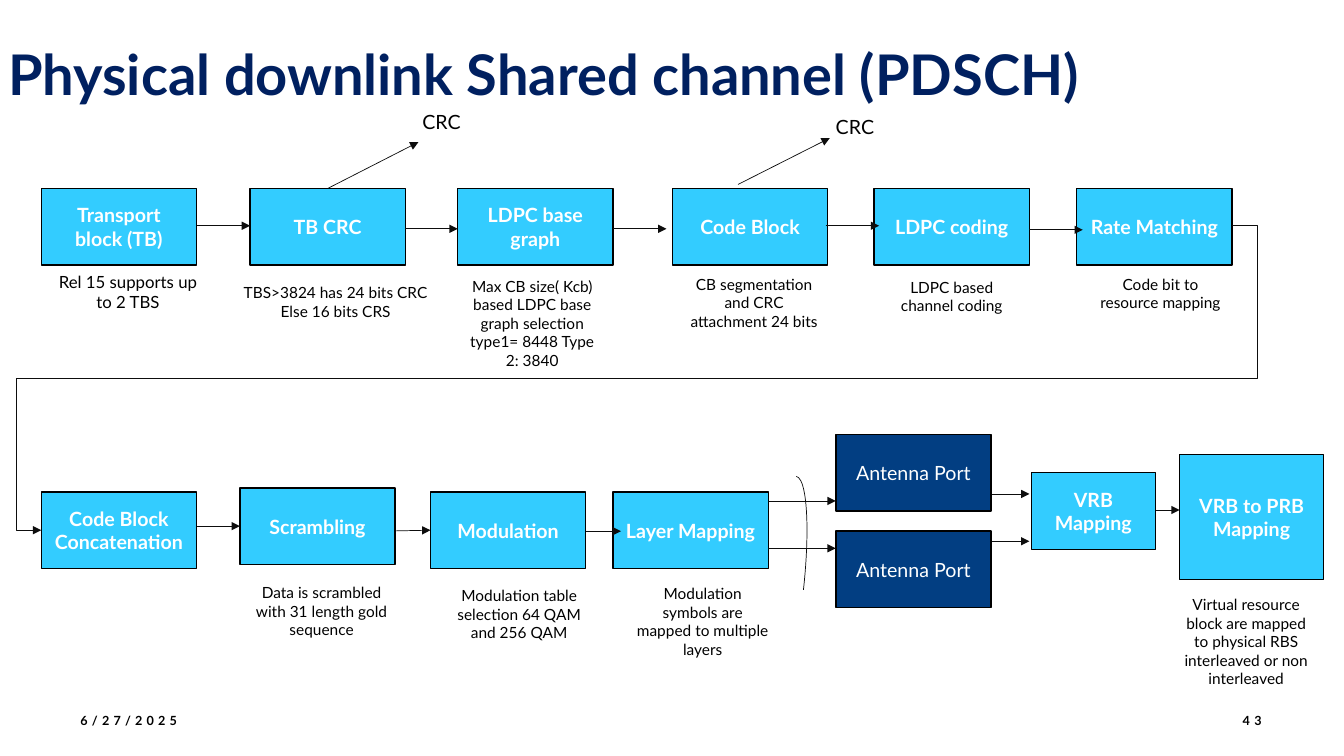
from lxml.etree import SubElement
from pptx import Presentation
from pptx.dml.color import RGBColor as RGB
from pptx.enum.shapes import MSO_CONNECTOR as LINK, MSO_SHAPE as SHAPE
from pptx.enum.text import MSO_ANCHOR as ANCHOR, MSO_AUTO_SIZE as FIT, PP_ALIGN as ALIGN
from pptx.oxml.ns import qn
from pptx.util import Pt

PX = 9144
FONT = "Lato"
COLORS = {"sky": "33CCFF", "navy": "023E82", "title": "002060",
          "black": "000000", "line": "0D0D0D", "white": "FFFFFF"}
WIDE, HIGH = 154, 76
TOP_Y, LOW_Y = 187, 488

STEPS = [
    ("Transport block (TB)", 41, TOP_Y, WIDE, HIGH),
    ("TB CRC", 248, TOP_Y, WIDE, HIGH),
    ("LDPC base graph", 454, TOP_Y, WIDE, HIGH),
    ("Code Block", 667, TOP_Y, WIDE, HIGH),
    ("LDPC coding", 867, TOP_Y, WIDE, HIGH),
    ("Rate Matching", 1068, TOP_Y, WIDE, HIGH),
    ("Code Block Concatenation", 41, LOW_Y, WIDE, HIGH),
    ("Scrambling", 238, 484, WIDE, HIGH),
    ("Modulation", 427, LOW_Y, WIDE, HIGH),
    ("Layer Mapping", 608, LOW_Y, WIDE, HIGH),
    ("VRB Mapping", 1023, 469, 123, HIGH),
    ("VRB to PRB Mapping", 1170, 451, 143, 124),
]
PORTS = [431, 527]
NOTES = [
    ("Rel 15 supports up to 2 TBS", 41, 265, 172, 50, 12),
    ("Max CB size( Kcb) based LDPC base graph selection type1= 8448 Type 2: 3840",
     451, 270, WIDE, 103, 11),
    ("CB segmentation and CRC attachment 24 bits", 671, 268, WIDE, 66, 11),
    ("LDPC based channel coding", 867, 271, WIDE, 47, 11),
    ("Code bit to resource mapping", 1074, 268, WIDE, 47, 11),
    ("Data is scrambled with 31 length gold sequence", 242, 574, WIDE, 66, 11),
    ("Modulation table selection 64 QAM and 256 QAM", 438, 577, WIDE, 66, 11),
    ("Modulation symbols are mapped to multiple layers", 620, 575, WIDE, 84, 11),
    ("Virtual resource block are mapped to physical RBS interleaved or non interleaved",
     1159, 586, WIDE, 103, 11),
    ("CRC", 390, 104, 96, 34, 14),
    ("CRC", 800, 109, 96, 34, 14),
]
BACK = [(377, 527, 427, 526), (1134, 506, 1170, 506),
        (955, 490, 1021, 490), (955, 537, 1021, 537)]
FRONT = [
    (195, 224, 248, 224), (402, 227, 454, 227), (608, 227, 661, 227),
    (819, 224, 872, 224), (1021, 228, 1074, 228), (195, 522, 238, 522),
    (581, 527, 616, 527), (762, 497, 829, 497), (762, 544, 829, 544),
    (325, 187, 415, 141), (732, 183, 823, 137),
]


def color(name):
    return RGB.from_string(COLORS[name])


def scale(*sizes):
    return [size * PX for size in sizes]


def style(frame, size, ink="black", bold=False, align=ALIGN.CENTER):
    for para in frame.paragraphs:
        para.alignment = align
        for run in para.runs:
            font = run.font
            font.name, font.size, font.bold = FONT, Pt(size), bold
            font.color.rgb = color(ink)


def box(slide, text, x, y, w, h, fill="sky", bold=True):
    shape = slide.shapes.add_shape(SHAPE.RECTANGLE, *scale(x, y, w, h))
    shape.shadow.inherit = False
    shape.fill.solid()
    shape.fill.fore_color.rgb = color(fill)
    shape.line.color.rgb = color("black")
    shape.line.width = Pt(1)
    frame = shape.text_frame
    frame.text = text
    frame.vertical_anchor = ANCHOR.MIDDLE
    style(frame, 14, "white", bold)


def note(slide, text, x, y, w, h, size, wrap=True):
    frame = slide.shapes.add_textbox(*scale(x, y, w, h)).text_frame
    frame.text = text
    frame.word_wrap = wrap
    frame.auto_size = FIT.SHAPE_TO_FIT_TEXT
    style(frame, size)


def foot(slide, text, x, w, align):
    frame = slide.shapes.add_textbox(*scale(x, 695, w, 40)).text_frame
    frame.text = text
    frame.word_wrap = True
    frame.vertical_anchor = ANCHOR.MIDDLE
    style(frame, 9, bold=True, align=align)
    frame.paragraphs[0].runs[0].font._element.set("spc", "300")


def arrow(slide, ends, kind=LINK.STRAIGHT):
    link = slide.shapes.add_connector(kind, *scale(*ends))
    link.line.color.rgb = color("line")
    link.line.width = Pt(0.5)
    SubElement(link.line._get_or_add_ln(), qn("a:tailEnd"), type="triangle")
    SubElement(link._element.spPr, qn("a:effectLst"))
    return link


def wrap_link(slide):
    link = arrow(slide, (1222, 224, 41, 526), LINK.ELBOW)
    geom = link._element.spPr.find(qn("a:prstGeom"))
    geom.set("prst", "bentConnector5")
    guides = geom.find(qn("a:avLst"))
    for i, value in enumerate((-2100, 50000, 102100), 1):
        SubElement(guides, qn("a:gd"), name=f"adj{i}", fmla=f"val {value}")


def curve(slide):
    arc = slide.shapes.add_shape(SHAPE.ARC, *scale(758, 472, 39, 222))
    arc.shadow.inherit = False
    arc.rotation = 6.3
    arc.fill.background()
    arc.line.color.rgb = color("line")
    arc.line.width = Pt(0.5)


def head(slide, text):
    title = slide.shapes.title
    title.left, title.top, title.width, title.height = scale(4, 51, 1238, 59)
    frame = title.text_frame
    frame.text = text
    frame.word_wrap = True
    frame.auto_size = FIT.SHAPE_TO_FIT_TEXT
    frame.vertical_anchor = ANCHOR.MIDDLE
    frame.margin_left = frame.margin_right = 4 * PX
    frame.margin_top = frame.margin_bottom = 4 * PX
    para = frame.paragraphs[0]
    para.line_spacing = Pt(36)
    para.space_before = Pt(0)
    style(frame, 40, "title", True, ALIGN.LEFT)


def main():
    deck = Presentation()
    deck.slide_width, deck.slide_height = scale(1333, 750)
    slide = deck.slides.add_slide(deck.slide_layouts[5])
    head(slide, "Physical downlink Shared channel (PDSCH)")
    foot(slide, "6/27/2025", 70, 300, ALIGN.LEFT)
    foot(slide, "43", 1182, 79, ALIGN.RIGHT)
    for ends in BACK:
        arrow(slide, ends)
    for step in STEPS:
        box(slide, *step)
    for y in PORTS:
        box(slide, "Antenna Port", 829, y, WIDE, HIGH, "navy", False)
    for ends in FRONT:
        arrow(slide, ends)
    wrap_link(slide)
    curve(slide)
    for item in NOTES:
        note(slide, *item)
    note(slide, "TBS>3824 has 24 bits CRC\nElse 16 bits CRS", 228, 276, 210, 47, 11, False)
    deck.save("out.pptx")


if __name__ == "__main__":
    main()
